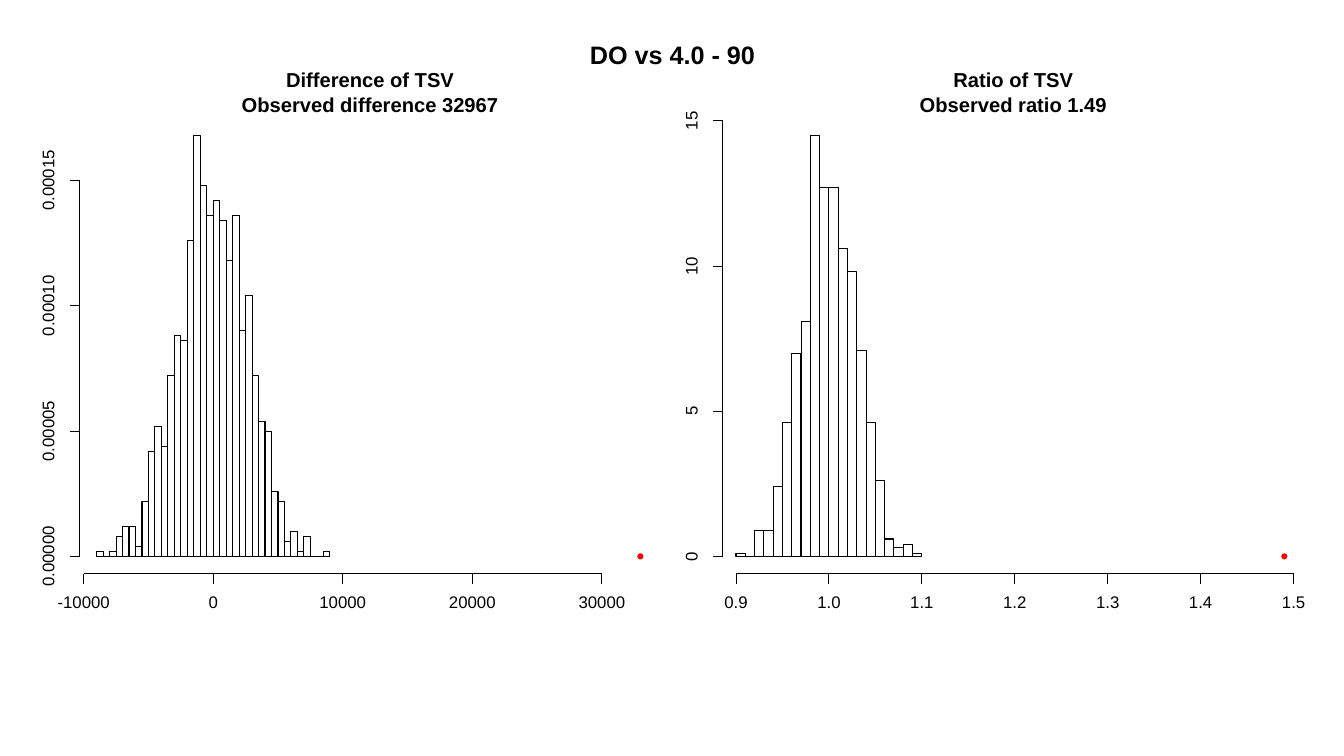
from dataclasses import dataclass

from lxml import etree
from pptx import Presentation
from pptx.dml.color import RGBColor as RGB
from pptx.enum.shapes import MSO_CONNECTOR as CONN, MSO_SHAPE as SHAPE
from pptx.enum.text import MSO_ANCHOR as ANCHOR, PP_ALIGN as ALIGN
from pptx.oxml.ns import qn
from pptx.util import Inches, Pt


@dataclass(frozen=True)
class Theme:
    font: str = "Arial"
    ink: RGB = RGB(0, 0, 0)
    paper: RGB = RGB(255, 255, 255)
    observed: RGB = RGB(255, 0, 0)
    title: float = 18
    heading: float = 14.4
    label: float = 12
    line: float = 0.75


@dataclass(frozen=True)
class Box:
    x: float
    y: float
    w: float
    h: float


@dataclass(frozen=True)
class Histogram:
    headings: tuple
    x_ticks: tuple
    x_format: str
    x_inset: float
    x_length: float
    y_ticks: tuple
    y_format: str
    y_length: float
    start: float
    bin_width: float
    densities: tuple
    observed: float


T = Theme()
TICK = 0.1
DOT = 0.05

DIFFERENCE = Histogram(
    headings=("Difference of TSV", "Observed difference 32967"),
    x_ticks=(-10000, 0, 10000, 20000, 30000), x_format="{:d}",
    x_inset=0.54, x_length=5.14,
    y_ticks=(0, 0.00005, 0.0001, 0.00015), y_format="{:.5f}",
    y_length=3.73, start=-9000, bin_width=500,
    densities=tuple(n * 0.000002 for n in (
        1, 0, 1, 4, 6, 6, 2, 11, 21, 26, 22, 36, 44, 43, 63, 84, 74, 68,
        71, 67, 59, 68, 45, 52, 36, 27, 25, 13, 11, 3, 5, 1, 4, 0, 0, 1)),
    observed=32967,
)
RATIO = Histogram(
    headings=("Ratio of TSV", "Observed ratio 1.49"),
    x_ticks=(0.9, 1.0, 1.1, 1.2, 1.3, 1.4, 1.5), x_format="{:.1f}",
    x_inset=0.63, x_length=5.53,
    y_ticks=(0, 5, 10, 15), y_format="{:d}",
    y_length=4.32, start=0.9, bin_width=0.01,
    densities=(0.1, 0, 0.9, 0.9, 2.4, 4.6, 7.0, 8.1, 14.5, 12.7,
               12.7, 10.6, 9.8, 7.1, 4.6, 2.6, 0.6, 0.3, 0.4, 0.1),
    observed=1.49,
)


def add_text(s, text, cx, cy, size, bold=False, rotation=0):
    w, h = (len(text) + 1) * size / 125, size / 100
    sp = s.shapes.add_textbox(Inches(cx - w / 2), Inches(cy - h / 2),
                              Inches(w), Inches(h))
    sp.rotation = rotation
    tf = sp.text_frame
    tf.word_wrap = False
    tf.vertical_anchor = ANCHOR.MIDDLE
    tf.margin_left = tf.margin_right = tf.margin_top = tf.margin_bottom = 0
    p = tf.paragraphs[0]
    p.alignment = ALIGN.CENTER
    p.line_spacing = Pt(size)
    r = p.add_run()
    r.text = text
    r.font.name = T.font
    r.font.size = Pt(size)
    r.font.bold = bold
    r.font.color.rgb = T.ink


def add_line(s, x1, y1, x2, y2):
    line = s.shapes.add_connector(CONN.STRAIGHT, Inches(x1), Inches(y1),
                                  Inches(x2), Inches(y2))
    line.line.color.rgb = T.ink
    line.line.width = Pt(T.line)
    etree.SubElement(line._element.spPr, qn("a:effectLst"))


def add_mark(s, kind, x, y, w, h, fill, outline):
    sp = s.shapes.add_shape(kind, Inches(x), Inches(y), Inches(w), Inches(h))
    sp.shadow.inherit = False
    if fill is None:
        sp.fill.background()
    else:
        sp.fill.solid()
        sp.fill.fore_color.rgb = fill
    sp.line.color.rgb = outline
    sp.line.width = Pt(T.line)


def add_histogram(s, box, hist):
    base = box.y + 5.23
    x_axis_y = base + 0.17
    y_axis_x = box.x + 0.5
    x_scale = hist.x_length / (hist.x_ticks[-1] - hist.x_ticks[0])
    y_scale = hist.y_length / hist.y_ticks[-1]

    def x_at(value):
        return box.x + hist.x_inset + (value - hist.x_ticks[0]) * x_scale

    def y_at(value):
        return base - value * y_scale

    for i, heading in enumerate(hist.headings):
        add_text(s, heading, box.x + 3.38, box.y + 0.52 + i * 0.25,
                 T.heading, bold=True)

    add_line(s, x_at(hist.x_ticks[0]), x_axis_y,
             x_at(hist.x_ticks[-1]), x_axis_y)
    for value in hist.x_ticks:
        x = x_at(value)
        add_line(s, x, x_axis_y, x, x_axis_y + TICK)
        add_text(s, hist.x_format.format(value), x, x_axis_y + 0.3, T.label)

    add_line(s, y_axis_x, base, y_axis_x, y_at(hist.y_ticks[-1]))
    for value in hist.y_ticks:
        y = y_at(value)
        add_line(s, y_axis_x, y, y_axis_x - TICK, y)
        add_text(s, hist.y_format.format(value), y_axis_x - 0.3, y,
                 T.label, rotation=270)

    for i, density in enumerate(hist.densities):
        add_mark(s, SHAPE.RECTANGLE, x_at(hist.start + i * hist.bin_width),
                 y_at(density), hist.bin_width * x_scale, density * y_scale,
                 None, T.ink)

    add_mark(s, SHAPE.OVAL, x_at(hist.observed) - DOT / 2, base - DOT / 2,
             DOT, DOT, T.observed, T.observed)


def add_comparison(s, box, title, histograms):
    add_mark(s, SHAPE.RECTANGLE, box.x, box.y, box.w, box.h, T.paper, T.paper)
    w = box.w / len(histograms)
    for i, hist in enumerate(histograms):
        add_histogram(s, Box(box.x + i * w, box.y, w, box.h), hist)
    add_text(s, title, box.x + box.w / 2, box.y + 0.27, T.title, bold=True)


def main():
    prs = Presentation()
    prs.slide_width, prs.slide_height = Inches(13.33), Inches(7.5)
    s = prs.slides.add_slide(prs.slide_layouts[6])
    add_comparison(s, Box(0.29, 0.29, 12.76, 5.91), "DO vs 4.0 - 90",
                   (DIFFERENCE, RATIO))
    prs.save("out.pptx")


if __name__ == "__main__":
    main()
